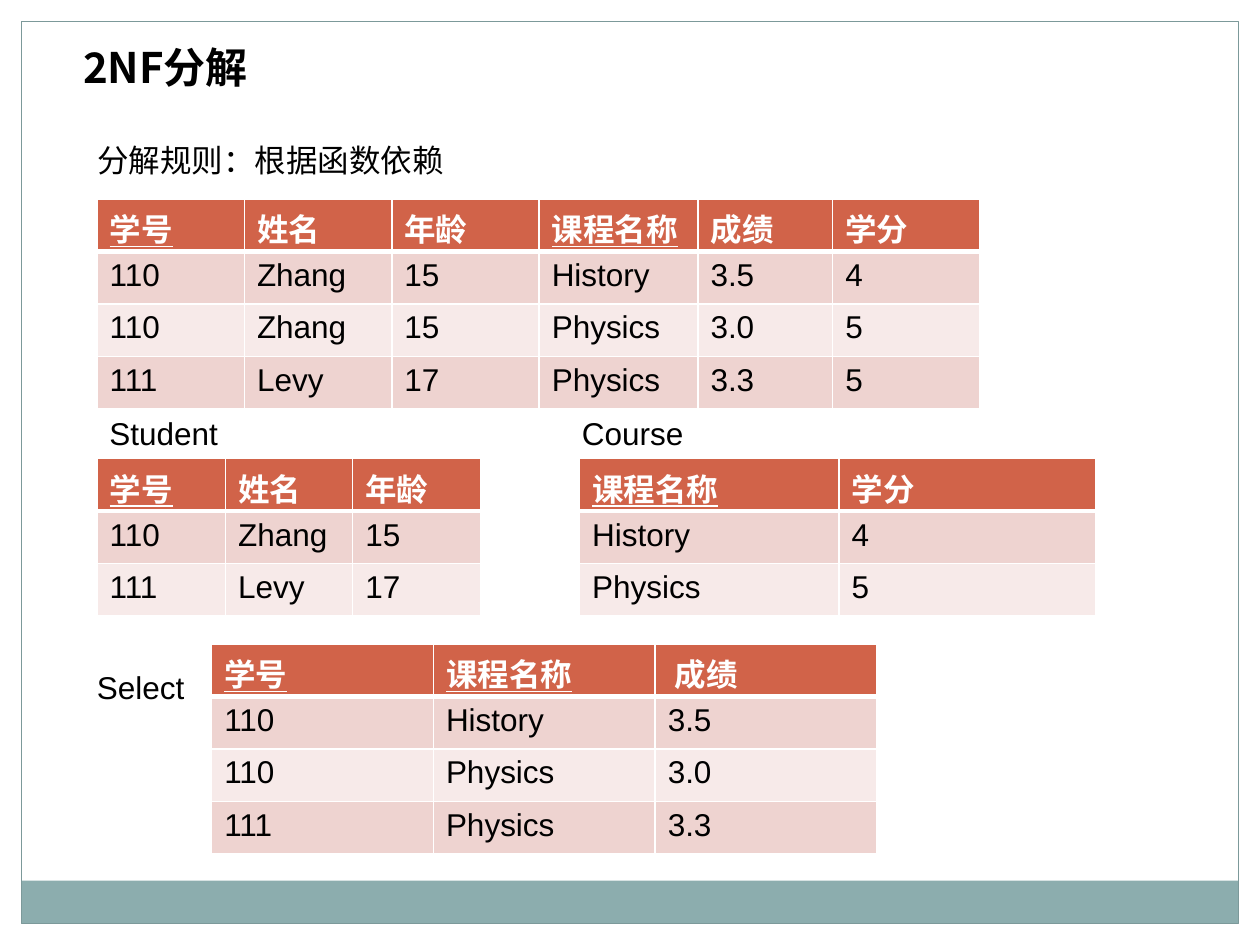
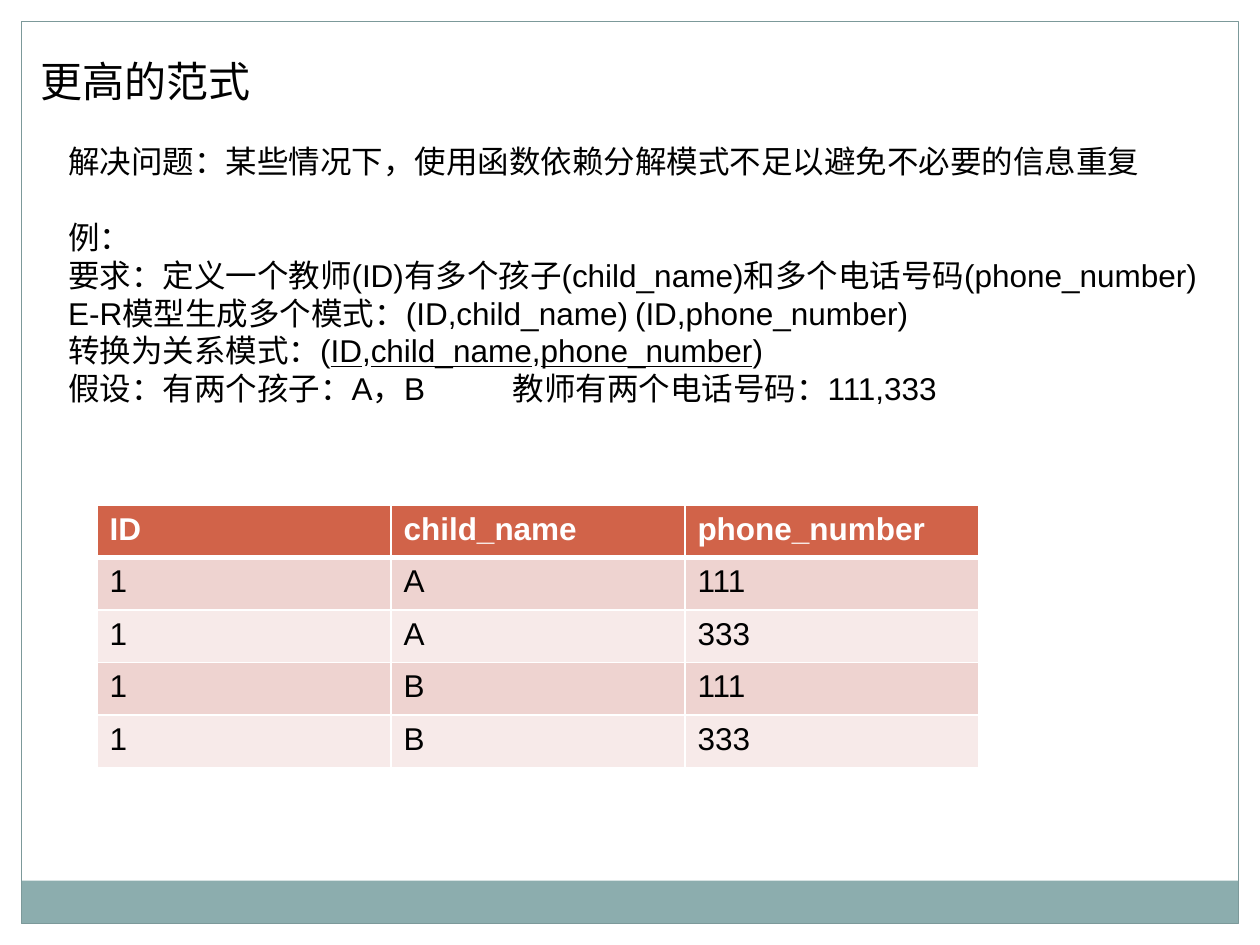
import pptx
import pptx.util
import pptx.dml.color
import pptx.enum.shapes
import pptx.enum.text
import pptx.oxml.ns
from dataclasses import dataclass
from lxml import etree

PX = 9144  # 100 px to the inch
KEYS = {"学号", "课程名称"}  # underlined in table heads
GAP = " "  # a run of one widely spaced blank


@dataclass(frozen=True)
class Theme:
    ink: str = "000000"
    white: str = "FFFFFF"
    band: str = "8CADAE"
    edge: str = "7C999A"
    head: str = "D16349"
    odd: str = "EED3D0"
    even: str = "F7EAE9"
    font: str = "Arial"
    cjk: str = "Noto Sans CJK SC"
    title: int = 24
    text: int = 18
    pitch: float = 1.2
    gap: int = 45


T = Theme()


def emu(*vals):
    return [pptx.util.Emu(round(v * PX)) for v in vals]


def rgb(code):
    return pptx.dml.color.RGBColor.from_string(code)


def sub(node, tag, **attrs):
    return etree.SubElement(node, pptx.oxml.ns.qn("a:" + tag), **attrs)


def style(font, size=T.text, name=T.font, color=T.ink, bold=False):
    font.size, font.name, font.bold = pptx.util.Pt(size), name, bold
    font.color.rgb = rgb(color)


# Shared margins, foot band and frame
def add_rect(slide, box, fill=None, line=None):
    kind = pptx.enum.shapes.MSO_SHAPE.RECTANGLE
    rect = slide.shapes.add_shape(kind, *emu(*box))
    rect.shadow.inherit = False
    if fill:
        rect.fill.solid()
        rect.fill.fore_color.rgb = rgb(fill)
    else:
        rect.fill.background()
    if line:
        rect.line.color.rgb = rgb(line)
        rect.line.width = pptx.util.Pt(0.75)
    else:
        rect.line.fill.background()


def add_frame(slide):
    for box in ((0, 0, 1000, 17), (983, 0, 17, 750), (0, 0, 17, 750)):
        add_rect(slide, box, fill=T.white)
    add_rect(slide, (17, 699, 966, 34), fill=T.band)
    add_rect(slide, (17, 17, 966, 716), line=T.edge)


# Text: a line is a string, or a list of (text, underlined) runs
def add_run(para, text, under):
    run = para.add_run()
    run.text = text
    if under:
        run.font.underline = True
    if text == GAP:
        run._r.get_or_add_rPr().set("spc", str(T.gap * 100))


def set_text(shape, box, lines, **look):
    shape.left, shape.top, shape.width, shape.height = emu(*box)
    frame = shape.text_frame
    frame.word_wrap = True
    frame.auto_size = pptx.enum.text.MSO_AUTO_SIZE.NONE
    frame.vertical_anchor = pptx.enum.text.MSO_ANCHOR.TOP
    for i, line in enumerate(lines):
        para = frame.paragraphs[0] if i == 0 else frame.add_paragraph()
        props = para._p.get_or_add_pPr()
        props.set("marL", "0")
        props.set("indent", "0")
        sub(props, "buNone")
        style(para.font, **look)
        para.alignment = pptx.enum.text.PP_ALIGN.LEFT
        para.line_spacing = pptx.util.Pt(look.get("size", T.text) * T.pitch)
        para.space_before = pptx.util.Pt(0)
        for text, under in [(line, False)] if isinstance(line, str) else line:
            add_run(para, text, under)
    return frame


def add_label(slide, box, text):
    set_text(slide.shapes.add_textbox(*emu(*box)), box, [text])


def add_page(deck, title, box, **look):
    slide = deck.slides.add_slide(deck.slide_layouts[1])
    add_frame(slide)
    set_text(slide.shapes.title, box, [title], size=T.title, **look)
    return slide


# Tables
def set_edges(cell, top, bottom):
    props = cell._tc.get_or_add_tcPr()
    for side, width in zip("LRTB", (1, 1, top, bottom)):
        line = sub(props, "ln" + side, w=str(pptx.util.Pt(width)))
        sub(sub(line, "solidFill"), "srgbClr", val=T.white)


def set_cell(cell, text, row):
    head = row == 0
    set_edges(cell, 3 if row == 1 else 1, 3 if head else 1)
    cell.fill.solid()
    cell.fill.fore_color.rgb = rgb(T.head if head else T.odd if row % 2 else T.even)
    cell.text = text
    font = cell.text_frame.paragraphs[0].font
    style(font, color=T.white if head else T.ink, bold=head)
    if head:
        cell.margin_bottom = 0  # keeps the tall glyphs from stretching the row
        if text in KEYS:
            font.underline = True


def add_grid(slide, left, top, widths, rows):
    high = 125 / 3
    box = emu(left, top, sum(widths), high * len(rows))
    grid = slide.shapes.add_table(len(rows), len(widths), *box).table
    for col, width in zip(grid.columns, widths):
        col.width = emu(width)[0]
    for r, row in enumerate(rows):
        grid.rows[r].height = emu(high)[0]
        for c, text in enumerate(row):
            set_cell(grid.cell(r, c), text, r)


def add_split(deck):
    slide = add_page(deck, "2NF分解", (56, 28, 602, 50), name=T.cjk, bold=True)
    set_text(slide.placeholders[1], (67, 107, 394, 40), ["分解规则：根据函数依赖"])
    add_grid(slide, 77, 158, [117, 117, 117, 126, 107, 117], [
        ["学号", "姓名", "年龄", "课程名称", "成绩", "学分"],
        ["110", "Zhang", "15", "History", "3.5", "4"],
        ["110", "Zhang", "15", "Physics", "3.0", "5"],
        ["111", "Levy", "17", "Physics", "3.3", "5"],
    ])
    add_label(slide, (77, 324, 191, 40), "Student")
    add_grid(slide, 77, 364, [102, 101, 102], [
        ["学号", "姓名", "年龄"],
        ["110", "Zhang", "15"],
        ["111", "Levy", "17"],
    ])
    add_label(slide, (452, 324, 153, 40), "Course")
    add_grid(slide, 460, 364, [206, 204], [
        ["课程名称", "学分"],
        ["History", "4"],
        ["Physics", "5"],
    ])
    add_label(slide, (67, 525, 94, 40), "Select")
    add_grid(slide, 168, 511, [176] * 3, [
        ["学号", "课程名称", " 成绩"],
        ["110", "History", "3.5"],
        ["110", "Physics", "3.0"],
        ["111", "Physics", "3.3"],
    ])


def add_higher(deck):
    slide = add_page(deck, "更高的范式", (22, 39, 578, 50))
    body = set_text(slide.placeholders[1], (44, 108, 934, 220), [
        "解决问题：某些情况下，使用函数依赖分解模式不足以避免不必要的信息重复",
        "例：",
        "要求：定义一个教师(ID)有多个孩子(child_name)和多个电话号码(phone_number)",
        "E-R模型生成多个模式：(ID,child_name)\t(ID,phone_number)",
        [("转换为关系模式：(", False), ("ID", True), (",", False),
         ("child_name", True), (",", False), ("phone_number", True), (")", False)],
        [("假设：有两个孩子：A，B", False), (GAP, False),
         ("教师有两个电话号码：111,333", False)],
    ])
    body.paragraphs[1].space_before = pptx.util.Pt(T.text * T.pitch)
    pairs = [["1", child, phone] for child in "AB" for phone in ("111", "333")]
    add_grid(slide, 77, 401, [700 / 3] * 3, [["ID", "child_name", "phone_number"]] + pairs)


def main():
    deck = pptx.Presentation()
    deck.slide_width, deck.slide_height = emu(1000, 750)
    add_split(deck)
    add_higher(deck)
    deck.save("out.pptx")


if __name__ == "__main__":
    main()
